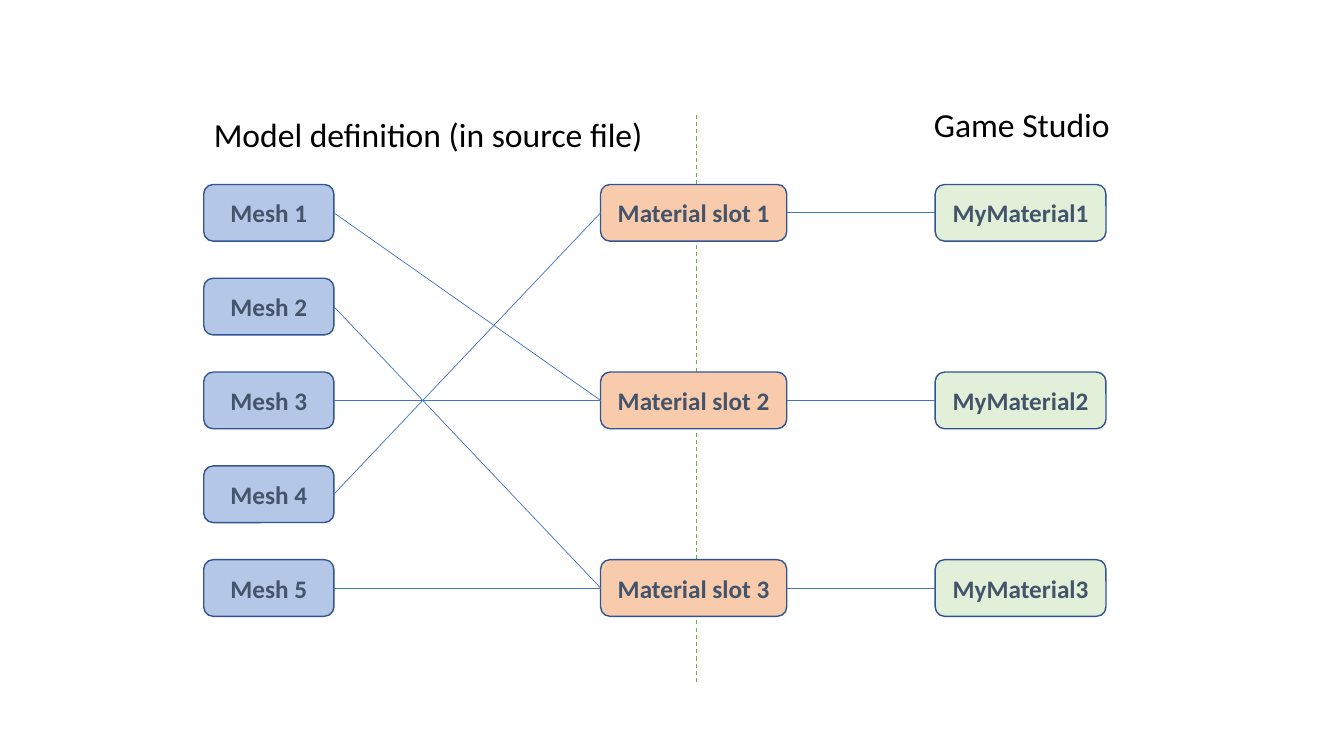
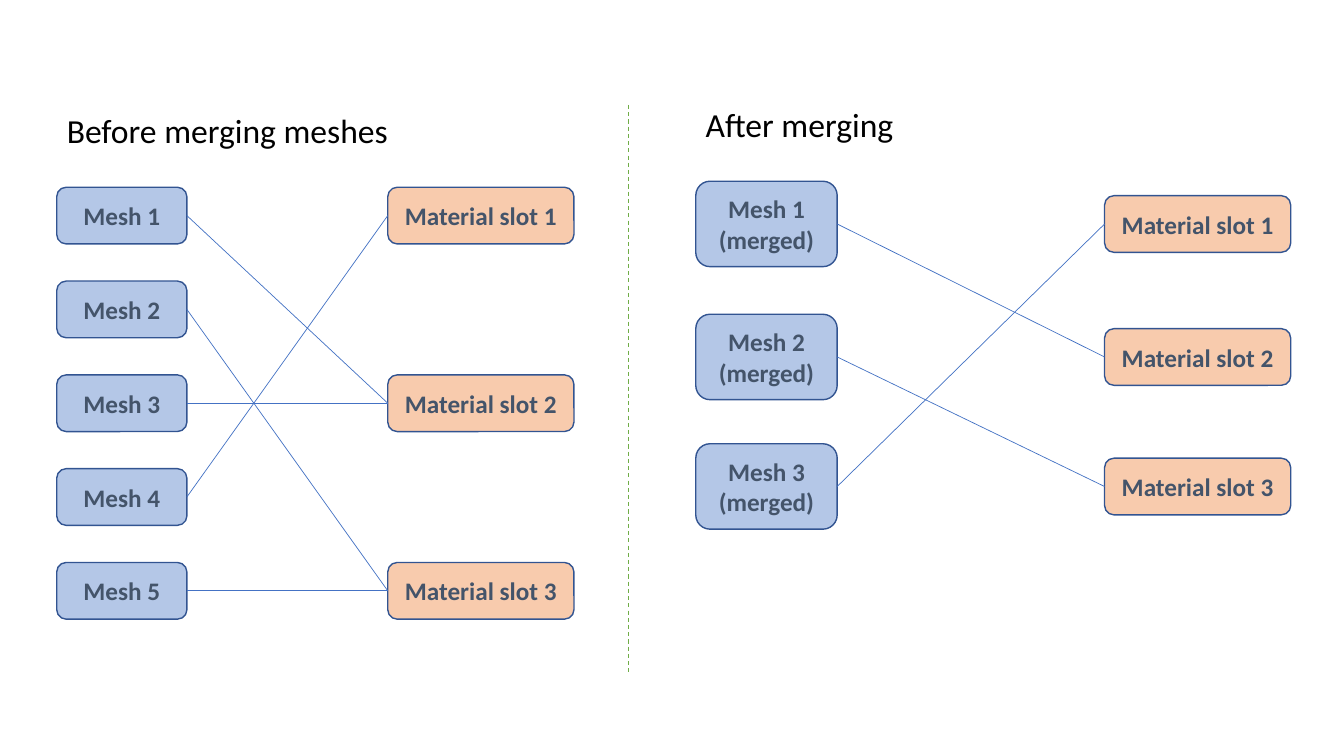
import pptx
import pptx.dml.color
import pptx.enum.dml
import pptx.enum.shapes
import pptx.enum.text
import pptx.oxml.ns
import pptx.util
import lxml.etree

Pt = pptx.util.Pt
RGBColor = pptx.dml.color.RGBColor
Align = pptx.enum.text.PP_ALIGN
Anchor = pptx.enum.text.MSO_ANCHOR

# Shared look
FONT = "Calibri"
BLACK = RGBColor(0x00, 0x00, 0x00)
LABEL = RGBColor(0x44, 0x54, 0x6A)
OUTLINE = RGBColor(0x32, 0x54, 0x91)
LINK = RGBColor(0x44, 0x72, 0xC4)
DIVIDER = RGBColor(0x70, 0xAD, 0x47)
MESH = RGBColor(0xB4, 0xC7, 0xE7)
SLOT = RGBColor(0xF8, 0xCB, 0xAD)
MATERIAL = RGBColor(0xE2, 0xF0, 0xD9)
BOX_HEIGHT = 40.5
MERGED_HEIGHT = 61
LEFT_SITE, RIGHT_SITE = 1, 3


def write_text(shape, text, size=18, color=LABEL, bold=True,
               align=Align.CENTER, anchor=Anchor.MIDDLE):
    frame = shape.text_frame
    frame.word_wrap = True
    frame.auto_size = pptx.enum.text.MSO_AUTO_SIZE.NONE
    frame.vertical_anchor = anchor
    para = frame.paragraphs[0]
    para.alignment = align
    span = para.add_run()
    span.text = text
    span.font.name = FONT
    span.font.size = Pt(size)
    span.font.bold = bold
    span.font.color.rgb = color


def add_line(page, start, end, color, width):
    line = page.shapes.add_connector(
        pptx.enum.shapes.MSO_CONNECTOR.STRAIGHT,
        Pt(start[0]), Pt(start[1]), Pt(end[0]), Pt(end[1]))
    line.line.color.rgb = color
    line.line.width = Pt(width)
    lxml.etree.SubElement(line._element.spPr, pptx.oxml.ns.qn("a:effectLst"))
    return line


# Vertical centres of the rows
five_rows = [152 + 67 * row for row in range(5)]
five_rows_lower = [center + 2 for center in five_rows]
merged_rows = [160, 255, 347.5]

# Column: label pattern, left, width, height, fill, row centres
# Link: (column, row) to (column, row)
mesh_links = [((0, 0), (1, 1)), ((0, 1), (1, 2)), ((0, 2), (1, 1)),
              ((0, 3), (1, 0)), ((0, 4), (1, 2))]
diagrams = [
    {
        "title": ("Model definition (in source file)", 145.5, 78, 412),
        "heading": ("Game Studio", 660, 70.5, 300),
        "divider": (497.5, 82, 488),
        "columns": [
            ("Mesh {}", 145.5, 93, BOX_HEIGHT, MESH, five_rows),
            ("Material slot {}", 429, 133, BOX_HEIGHT, SLOT, five_rows[::2]),
            ("MyMaterial{}", 668, 122, BOX_HEIGHT, MATERIAL, five_rows[::2]),
        ],
        "links": mesh_links + [((1, row), (2, row)) for row in range(3)],
    },
    {
        "title": ("Before merging meshes", 40.5, 75, 294),
        "heading": ("After merging", 497, 70.5, 294),
        "divider": (449, 75, 481),
        "columns": [
            ("Mesh {}", 40.5, 93, BOX_HEIGHT, MESH, five_rows_lower),
            ("Material slot {}", 277, 133, BOX_HEIGHT, SLOT,
             five_rows_lower[::2]),
            ("Mesh {} (merged)", 497, 101, MERGED_HEIGHT, MESH, merged_rows),
            ("Material slot {}", 789, 133, BOX_HEIGHT, SLOT, merged_rows),
        ],
        "links": mesh_links + [((2, 0), (3, 1)), ((2, 1), (3, 2)),
                               ((2, 2), (3, 0))],
    },
]

deck = pptx.Presentation()
deck.slide_width = Pt(960)
deck.slide_height = Pt(540)
title_only = deck.slide_layouts[5]

for diagram in diagrams:
    page = deck.slides.add_slide(title_only)

    # Headings
    title_text, left, top, width = diagram["title"]
    title = page.shapes.title
    title.left, title.top = Pt(left), Pt(top)
    title.width, title.height = Pt(width), Pt(36)
    heading_text, left, top, width = diagram["heading"]
    heading = page.shapes.add_textbox(Pt(left), Pt(top), Pt(width), Pt(36))
    for shape, text in ((title, title_text), (heading, heading_text)):
        write_text(shape, text, size=24, color=BLACK, bold=False,
                   align=Align.LEFT, anchor=Anchor.TOP)

    # Dashed divider, behind the boxes
    x, top, bottom = diagram["divider"]
    divider = add_line(page, (x, top), (x, bottom), DIVIDER, 0.75)
    divider.line.dash_style = pptx.enum.dml.MSO_LINE.DASH

    # Columns of boxes
    boxes = {}
    for column, (label, left, width, height, fill, centers) in enumerate(
            diagram["columns"]):
        for row, center in enumerate(centers):
            box = page.shapes.add_shape(
                pptx.enum.shapes.MSO_SHAPE.ROUNDED_RECTANGLE,
                Pt(left), Pt(center - height / 2), Pt(width), Pt(height))
            box.shadow.inherit = False
            box.fill.solid()
            box.fill.fore_color.rgb = fill
            box.line.color.rgb = OUTLINE
            box.line.width = Pt(1)
            write_text(box, label.format(row + 1))
            boxes[column, row] = box

    # Links between boxes
    for source, target in diagram["links"]:
        link = add_line(page, (0, 0), (0, 0), LINK, 0.5)
        link.begin_connect(boxes[source], RIGHT_SITE)
        link.end_connect(boxes[target], LEFT_SITE)

deck.save("out.pptx")
